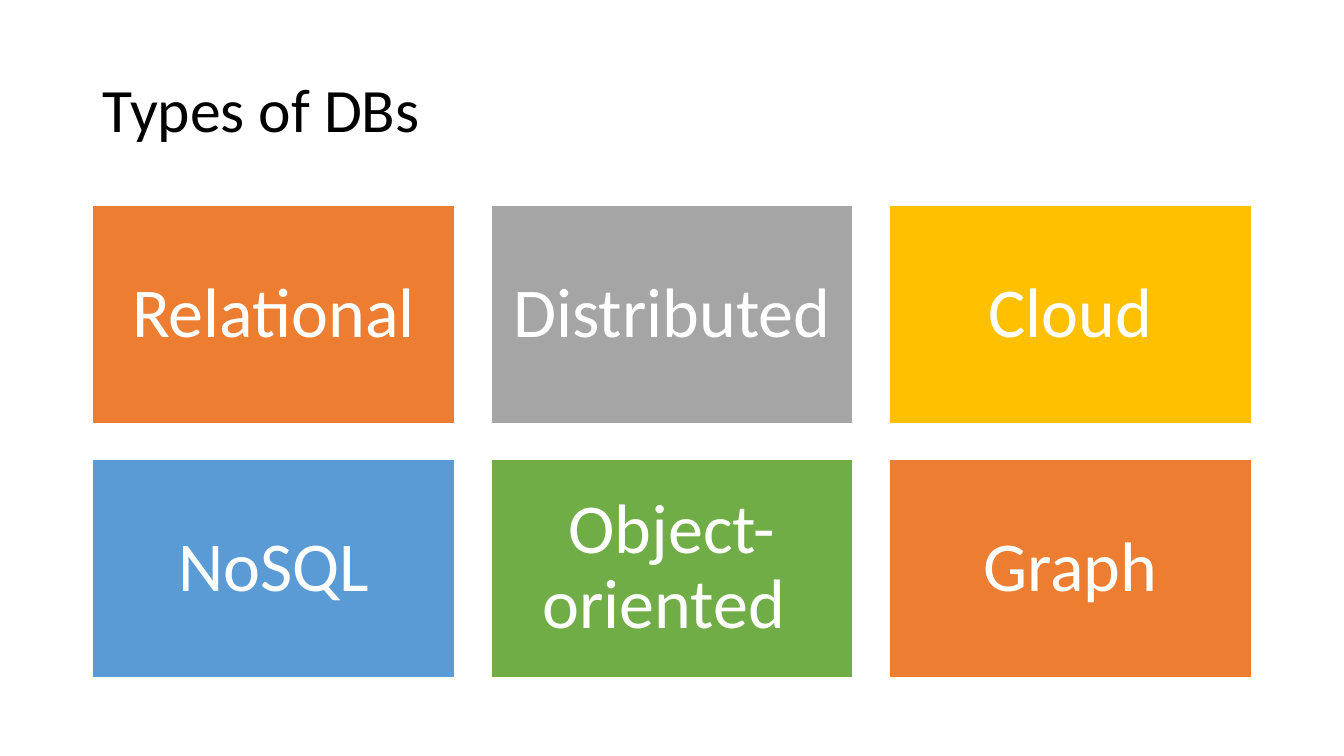
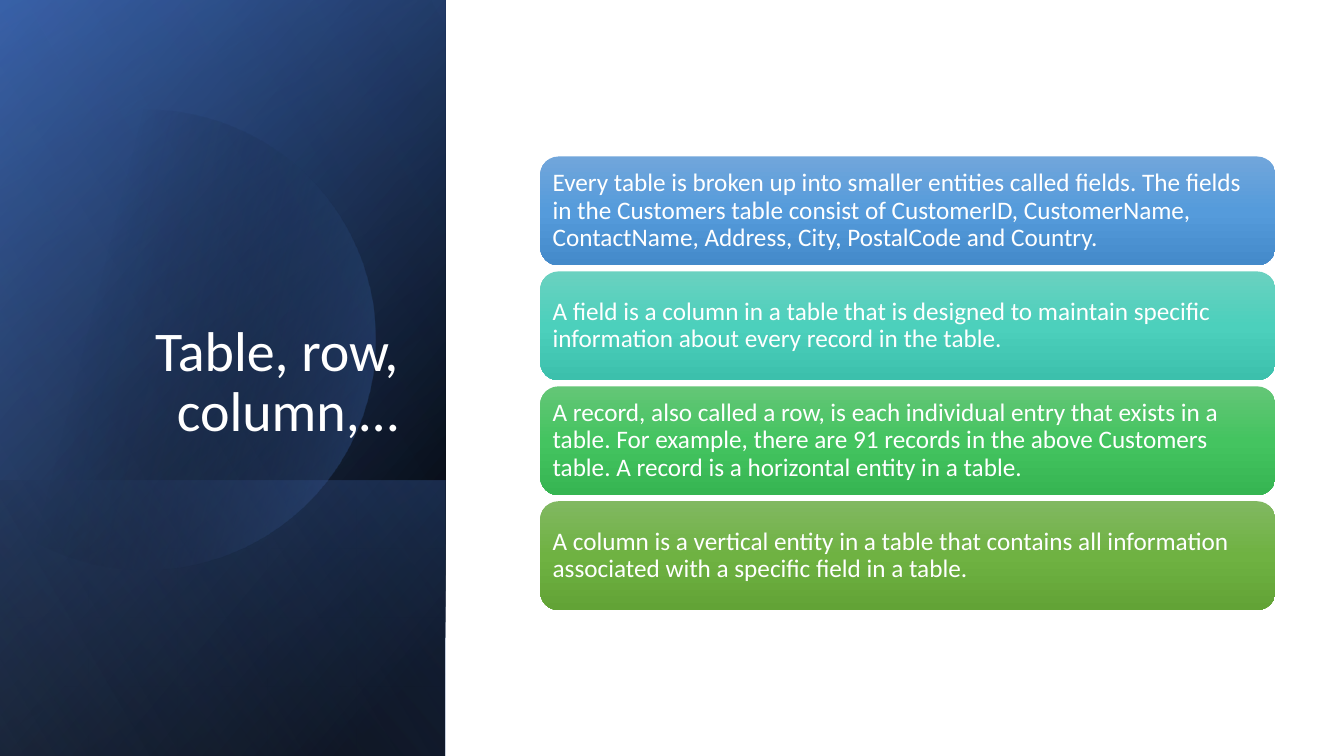
from dataclasses import dataclass
from math import acos, cos, pi, sin

from lxml.etree import SubElement
from pptx import Presentation
from pptx.dml.color import RGBColor
from pptx.enum.shapes import MSO_SHAPE
from pptx.enum.text import MSO_ANCHOR, MSO_AUTO_SIZE, PP_ALIGN
from pptx.oxml.ns import qn
from pptx.util import Inches, Pt


@dataclass(frozen=True)
class Theme:
    font: str = "Calibri"
    title_size: int = 44
    side_title_size: int = 40
    tile_size: int = 50
    card_size: int = 18
    line_spacing: float = 0.9
    black: str = "000000"
    white: str = "FFFFFF"
    orange: str = "ED7D31"
    gray: str = "A5A5A5"
    gold: str = "FFC000"
    sky: str = "5B9BD5"
    green: str = "70AD47"
    navy: str = "2F5597"
    blue: str = "4472C4"
    pale_blue: str = "8FAADC"
    sky_shades: tuple = ("71A6DB", "559BDB", "448ACA")
    teal_shades: tuple = ("6AD1C0", "4CD0BC", "3CC0AC")
    mint_shades: tuple = ("64C677", "44C460", "36B552")
    leaf_shades: tuple = ("81B861", "6FB242", "62A336")


THEME = Theme()


def grid(area, columns, rows, gaps=(0, 0)):
    """Yield the cells of an area, row by row; all lengths are slide percentages."""
    left, top, width, height = area
    gap_x, gap_y = gaps
    cell_width = (width - gap_x * (columns - 1)) / columns
    cell_height = (height - gap_y * (rows - 1)) / rows
    for row in range(rows):
        for column in range(columns):
            yield (left + column * (cell_width + gap_x),
                   top + row * (cell_height + gap_y), cell_width, cell_height)


class SlideBuilder:
    """Draws on the current page; areas are (left, top, width, height) in percent."""

    def __init__(self, theme):
        self.theme = theme
        self.deck = Presentation()
        self.deck.slide_width = Inches(13.33)
        self.deck.slide_height = Inches(7.5)
        self.page = None

    def new_page(self):
        self.page = self.deck.slides.add_slide(self.deck.slide_layouts[5])

    def across(self, share):
        return round(self.deck.slide_width * share / 100)

    def down(self, share):
        return round(self.deck.slide_height * share / 100)

    def place(self, area):
        left, top, width, height = area
        return self.across(left), self.down(top), self.across(width), self.down(height)

    def set_text(self, shape, text, size, color, align=PP_ALIGN.LEFT,
                 anchor=MSO_ANCHOR.MIDDLE, inset=None):
        frame = shape.text_frame
        settings = {"word_wrap": True, "auto_size": MSO_AUTO_SIZE.NONE,
                    "vertical_anchor": anchor}
        if inset is not None:
            for side in ("left", "top", "right", "bottom"):
                settings[f"margin_{side}"] = Inches(inset)
        for name, value in settings.items():
            setattr(frame, name, value)
        para = frame.paragraphs[0]
        para.alignment = align
        para.line_spacing = self.theme.line_spacing
        span = para.add_run()
        span.text = text
        for name, value in {"name": self.theme.font, "size": Pt(size)}.items():
            setattr(span.font, name, value)
        span.font.color.rgb = RGBColor.from_string(color)

    def title(self, text, area, size, color, **layout):
        box = self.page.shapes.title
        box.left, box.top, box.width, box.height = self.place(area)
        self.set_text(box, text, size, color, **layout)
        # Bring the title in front of whatever is drawn so far.
        self.page.shapes.element.append(box.element)

    def blend(self, shape, stops, angle):
        """Fill with (position, color, opacity) stops along a clockwise angle."""
        shape.shadow.inherit = False
        shape.line.fill.background()
        shape.fill.gradient()
        shape.fill.gradient_angle = 360 - angle
        stop_list = shape.element.spPr.find(qn("a:gradFill")).find(qn("a:gsLst"))
        for stop in list(stop_list):
            stop_list.remove(stop)
        for position, color, opacity in stops:
            stop = SubElement(stop_list, qn("a:gs"), pos=str(position * 1000))
            paint = SubElement(stop, qn("a:srgbClr"), val=color)
            if opacity < 100:
                SubElement(paint, qn("a:alpha"), val=str(opacity * 1000))

    def tile(self, area, text, color):
        box = self.page.shapes.add_shape(MSO_SHAPE.RECTANGLE, *self.place(area))
        box.shadow.inherit = False
        box.fill.solid()
        box.fill.fore_color.rgb = RGBColor.from_string(color)
        box.line.color.rgb = RGBColor.from_string(self.theme.white)
        box.line.width = Pt(1)
        self.set_text(box, text, self.theme.tile_size, self.theme.white,
                      align=PP_ALIGN.CENTER, inset=0.21)

    def card(self, area, text, shades):
        box = self.page.shapes.add_shape(MSO_SHAPE.ROUNDED_RECTANGLE, *self.place(area))
        self.blend(box, [(50 * step, shade, 100) for step, shade in enumerate(shades)], 90)
        self.set_text(box, text, self.theme.card_size, self.theme.white, inset=0.07)

    def panel(self, area, stops, angle):
        """Cover an area with a mirrored rectangle on its side, turning its gradient."""
        left, top, width, height = self.place(area)
        shift = (height - width) // 2
        box = self.page.shapes.add_shape(
            MSO_SHAPE.RECTANGLE, left - shift, top + shift, height, width)
        box.rotation = 90
        box.element.spPr.find(qn("a:xfrm")).set("flipH", "1")
        self.blend(box, stops, angle)

    def cut_disc(self, center, radius, stops, angle, steps=120):
        """Draw a disc cut off by the left slide edge; radius is a share of the width."""
        center_x, center_y = self.across(center[0]), self.down(center[1])
        reach = self.across(radius)
        limit = pi - acos(center_x / reach)
        turns = [limit * (2 * step / steps - 1) for step in range(steps + 1)]
        points = [(round(center_x + reach * cos(turn)), round(center_y + reach * sin(turn)))
                  for turn in turns]
        outline = self.page.shapes.build_freeform(*points[0])
        outline.add_line_segments(points[1:], close=True)
        self.blend(outline.convert_to_shape(), stops, angle)


def build_types(builder):
    theme = builder.theme
    builder.new_page()
    builder.title("Types of DBs", (6.9, 5.3, 86.2, 19.3), theme.title_size, theme.black)
    tiles = [
        ("Relational", theme.orange),
        ("Distributed", theme.gray),
        ("Cloud", theme.gold),
        ("NoSQL", theme.sky),
        ("Object-oriented ", theme.green),
        ("Graph", theme.orange),
    ]
    for area, (text, color) in zip(grid((6.9, 27.2, 86.2, 62.4), 3, 2, (2.7, 4.8)), tiles):
        builder.tile(area, text, color)


def build_table_terms(builder):
    theme = builder.theme
    builder.new_page()
    side = (0, 0, 33.15, 100)
    side_foot = (0, 63.5, 33.15, 36.5)
    clear = (0, theme.black, 0)
    builder.panel(side, [(8, theme.black, 100), (100, theme.navy, 100)], 50)
    builder.panel(side, [clear, (99, theme.blue, 46)], 30)
    builder.panel(side_foot, [(2, theme.blue, 29), (100, theme.black, 30)], 130)
    builder.cut_disc((10.8, 44.9), 17.1, [(29, theme.black, 0), (100, theme.blue, 43)], 14)
    builder.panel(side, [clear, (99, theme.pale_blue, 11)], 120)
    builder.title("Table, row, column,…", (4.8, 24.5, 25.6, 34.9), theme.side_title_size,
                  theme.white, align=PP_ALIGN.RIGHT, anchor=MSO_ANCHOR.BOTTOM)
    cards = [
        ("Every table is broken up into smaller entities called fields. The fields in the "
         "Customers table consist of CustomerID, CustomerName, ContactName, Address, City, "
         "PostalCode and Country.", theme.sky_shades),
        ("A field is a column in a table that is designed to maintain specific information "
         "about every record in the table.", theme.teal_shades),
        ("A record, also called a row, is each individual entry that exists in a table. For "
         "example, there are 91 records in the above Customers table. A record is a "
         "horizontal entity in a table.", theme.mint_shades),
        ("A column is a vertical entity in a table that contains all information associated "
         "with a specific field in a table.", theme.leaf_shades),
    ]
    for area, (text, shades) in zip(grid((40.2, 20.7, 54.7, 60), 1, 4, (0, 0.8)), cards):
        builder.card(area, text, shades)


def main():
    builder = SlideBuilder(THEME)
    build_types(builder)
    build_table_terms(builder)
    builder.deck.save("out.pptx")


if __name__ == "__main__":
    main()
